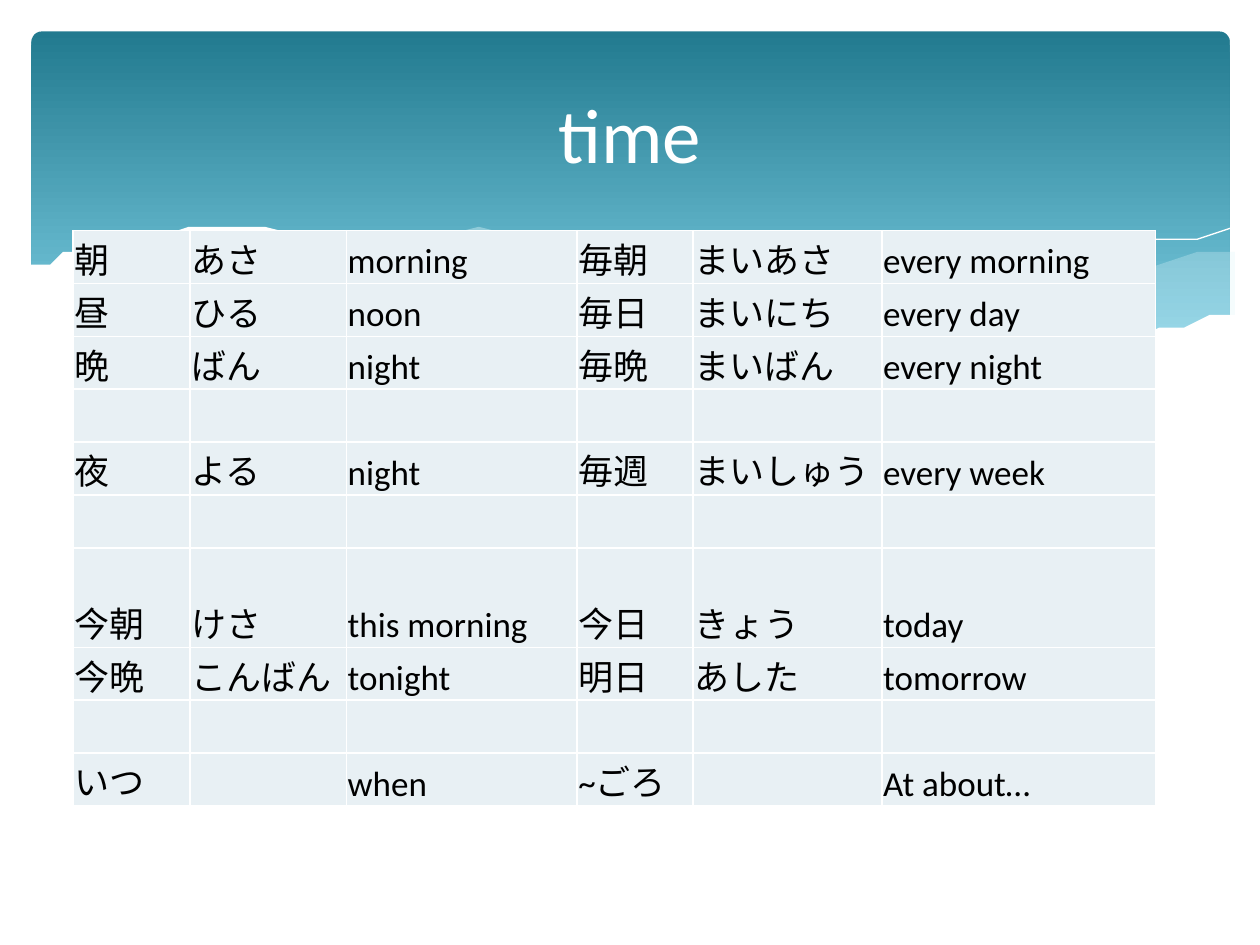
from lxml.etree import SubElement
from pptx import Presentation
from pptx.dml.color import RGBColor
from pptx.enum.shapes import MSO_SHAPE as Shape
from pptx.enum.text import MSO_ANCHOR as Anchor, PP_ALIGN as Align
from pptx.oxml.ns import qn
from pptx.util import Inches, Pt

WHITE = RGBColor(0xFF, 0xFF, 0xFF)
BLACK = RGBColor(0x00, 0x00, 0x00)
TEAL = RGBColor(0x22, 0x7A, 0x8F)
SKY = RGBColor(0x7A, 0xCB, 0xE0)
FOAM = RGBColor(0xDE, 0xF5, 0xFA)
CELL = RGBColor(0xE8, 0xF0, 0xF4)

# The slide is a grid of 100 columns by 75 rows, each unit a tenth of an inch
COLUMNS, ROWS = 100, 75

# Wave outlines as (column, row) points
RIGHT_WAVE = [
    (97.6, 20), (94.8, 20.4), (92.1, 21), (89.1, 21.6), (86.1, 22.3), (80.5, 23.7),
    (75.3, 24.8), (70.6, 25.7), (66.1, 26.5), (69.1, 26.9), (71.9, 27.2), (74.5, 27.5),
    (76.9, 27.7), (80.3, 27.8), (83.5, 27.7), (86.3, 27.5), (88.9, 27.2), (91.3, 26.7),
    (93.5, 26.2), (94.9, 25.7), (96.3, 25.2), (97.6, 24.7)]
MIDDLE_WAVE = [
    (89.3, 27.3), (86.6, 26.9), (83.7, 26.5), (80.7, 26), (77.5, 25.4), (74.1, 24.7),
    (70.6, 24), (66.8, 23.1), (62.9, 22.2), (59.8, 21.4), (56.9, 20.8), (54.1, 20.3),
    (51.4, 19.8), (48.9, 19.4), (46.5, 19.1), (44.2, 18.9), (42, 18.7), (38, 18.5),
    (34.4, 18.6), (31.3, 18.8), (28.6, 19.1), (32.3, 19.6), (36.2, 20.3), (40.4, 21.1),
    (44.9, 22.2), (49.1, 23.2), (53, 24), (58.4, 25.2), (61.8, 25.8), (65, 26.4),
    (68, 26.8), (70.9, 27.2), (73.6, 27.5), (76.1, 27.7), (78.5, 27.8), (82.8, 27.8),
    (85.7, 27.7)]
LONG_CREST = [
    (30.9, 19.5), (34.4, 19), (37.4, 18.8), (40.1, 18.7), (43.3, 18.7), (46.9, 18.9),
    (51, 19.2), (55.6, 19.7), (60.8, 20.4), (66.5, 21.3), (72.7, 22.6), (79.5, 24.1),
    (86.9, 26.1), (90.7, 27.2)]
RIGHT_CREST = [
    (61.3, 25.7), (65.3, 24.6), (69.5, 23.5), (74.8, 22.3), (80.6, 21), (86.6, 19.9),
    (89.5, 19.4), (92.4, 19), (95.1, 18.7), (97.5, 18.5)]
WHITE_WAVE = [
    (97.7, 24.6), (95.9, 25.3), (94, 25.9), (92, 26.5), (89.9, 26.9), (87.5, 27.3),
    (85, 27.5), (82.3, 27.7), (79.3, 27.6), (76.1, 27.5), (72.6, 27.2), (68.8, 26.8),
    (64.8, 26.2), (60.3, 25.4), (55.5, 24.5), (50.3, 23.3), (44.7, 22), (39.1, 20.7),
    (34, 19.7), (29.2, 19), (25, 18.6), (21.1, 18.4), (17.7, 18.4), (14.6, 18.5),
    (11.9, 18.7), (9.5, 19.1), (7.6, 19.5), (5.9, 19.9), (4.6, 20.3), (3.6, 20.7),
    (2.3, 21.3), (2.3, 32.9), (97.7, 32.9)]

COLUMN_WIDTHS = [9.3, 12.4, 18.3, 9.2, 15, 21.7]
ROW_HEIGHTS = [4.2, 4.2, 4.2, 4.2, 4.2, 4.2, 7.9, 4.2, 4.2, 4.2]
WORDS = [
    ["朝", "あさ", "morning", "毎朝", "まいあさ", "every morning"],
    ["昼", "ひる", "noon", "毎日", "まいにち", "every day"],
    ["晩", "ばん", "night", "毎晩", "まいばん", "every night"],
    [""] * 6,
    ["夜", "よる", "night", "毎週", "まいしゅう", "every week"],
    [""] * 6,
    ["今朝", "けさ", "this morning", "今日", "きょう", "today"],
    ["今晩", "こんばん", "tonight", "明日", "あした", "tomorrow"],
    [""] * 6,
    ["いつ", "", "when", "~ごろ", "", "At about…"],
]


class SlideBuilder:
    """Holds the style and the current slide."""

    font_name = "Calibri"
    title_size = Pt(44)
    word_size = Pt(20)
    border_width = Pt(1)
    inset = Inches(0.01)

    def __init__(self, presentation):
        self.unit = presentation.slide_width // COLUMNS
        self.slide = presentation.slides.add_slide(presentation.slide_layouts[6])

    def grid(self, *lengths):
        return [round(length * self.unit) for length in lengths]

    def run(self, paragraph, text, size, color):
        run = paragraph.add_run()
        run.text = text
        run.font.name, run.font.size = self.font_name, size
        run.font.color.rgb = color

    def banner(self, *box):
        shape = self.slide.shapes.add_shape(Shape.ROUNDED_RECTANGLE, *self.grid(*box))
        shape.shadow.inherit = False
        shape.adjustments[0] = 0.03
        shape.line.fill.background()
        shape.fill.gradient()
        shape.fill.gradient_angle = 270
        for stop, position, color in zip(shape.fill.gradient_stops, (0, 0.9), (TEAL, SKY)):
            stop.position, stop.color.rgb = position, color

    def outline(self, points, close):
        (start, *others) = points
        builder = self.slide.shapes.build_freeform(*start, scale=self.unit)
        builder.add_line_segments(others, close=close)
        shape = builder.convert_to_shape()
        shape.shadow.inherit = False
        return shape

    def wave(self, points, color, opacity=100):
        shape = self.outline(points, True)
        shape.line.fill.background()
        shape.fill.solid()
        shape.fill.fore_color.rgb = color
        if opacity < 100:
            color_node = next(shape.element.spPr.iter(qn("a:srgbClr")))
            SubElement(color_node, qn("a:alpha")).set("val", str(opacity * 1000))

    def crest(self, points):
        shape = self.outline(points, False)
        shape.fill.background()
        shape.line.color.rgb = WHITE
        shape.line.width = Pt(0)

    def title(self, text, *box):
        frame = self.slide.shapes.add_textbox(*self.grid(*box)).text_frame
        frame.word_wrap = True
        frame.vertical_anchor = Anchor.MIDDLE
        frame.paragraphs[0].alignment = Align.CENTER
        self.run(frame.paragraphs[0], text, self.title_size, WHITE)

    def table(self, words, left, top, widths, heights):
        box = self.grid(left, top, sum(widths), sum(heights))
        table = self.slide.shapes.add_table(len(heights), len(widths), *box).table
        table.first_row = table.horz_banding = False
        for column, width in zip(table.columns, self.grid(*widths)):
            column.width = width
        for row, height, texts in zip(table.rows, self.grid(*heights), words):
            row.height = height
            for cell, text in zip(row.cells, texts):
                self.cell(cell, text)

    def cell(self, cell, text):
        cell.margin_left = cell.margin_right = cell.margin_top = self.inset
        cell.margin_bottom = 0
        cell.vertical_anchor = Anchor.BOTTOM
        # Borders come before the fill in the cell properties
        properties = cell._tc.get_or_add_tcPr()
        for side in ("lnL", "lnR", "lnT", "lnB"):
            line = SubElement(properties, qn(f"a:{side}"), w=str(self.border_width))
            fill = SubElement(line, qn("a:solidFill"))
            SubElement(fill, qn("a:srgbClr"), val=str(WHITE))
        cell.fill.solid()
        cell.fill.fore_color.rgb = CELL
        if text:
            self.run(cell.text_frame.paragraphs[0], text, self.word_size, BLACK)


def main():
    presentation = Presentation()
    presentation.slide_width = Inches(COLUMNS / 10)
    presentation.slide_height = Inches(ROWS / 10)
    builder = SlideBuilder(presentation)

    # Banner with waves
    builder.banner(2.5, 2.5, 95.1, 27)
    builder.wave(RIGHT_WAVE, FOAM, 29)
    builder.wave(MIDDLE_WAVE, FOAM, 40)
    builder.crest(LONG_CREST)
    builder.crest(RIGHT_CREST)
    builder.wave(WHITE_WAVE, WHITE)

    # Vocabulary table and title
    builder.table(WORDS, 5.8, 18.3, COLUMN_WIDTHS, ROW_HEIGHTS)
    builder.title("time", 5, 3.7, 90, 13.7)

    presentation.save("out.pptx")


if __name__ == "__main__":
    main()
